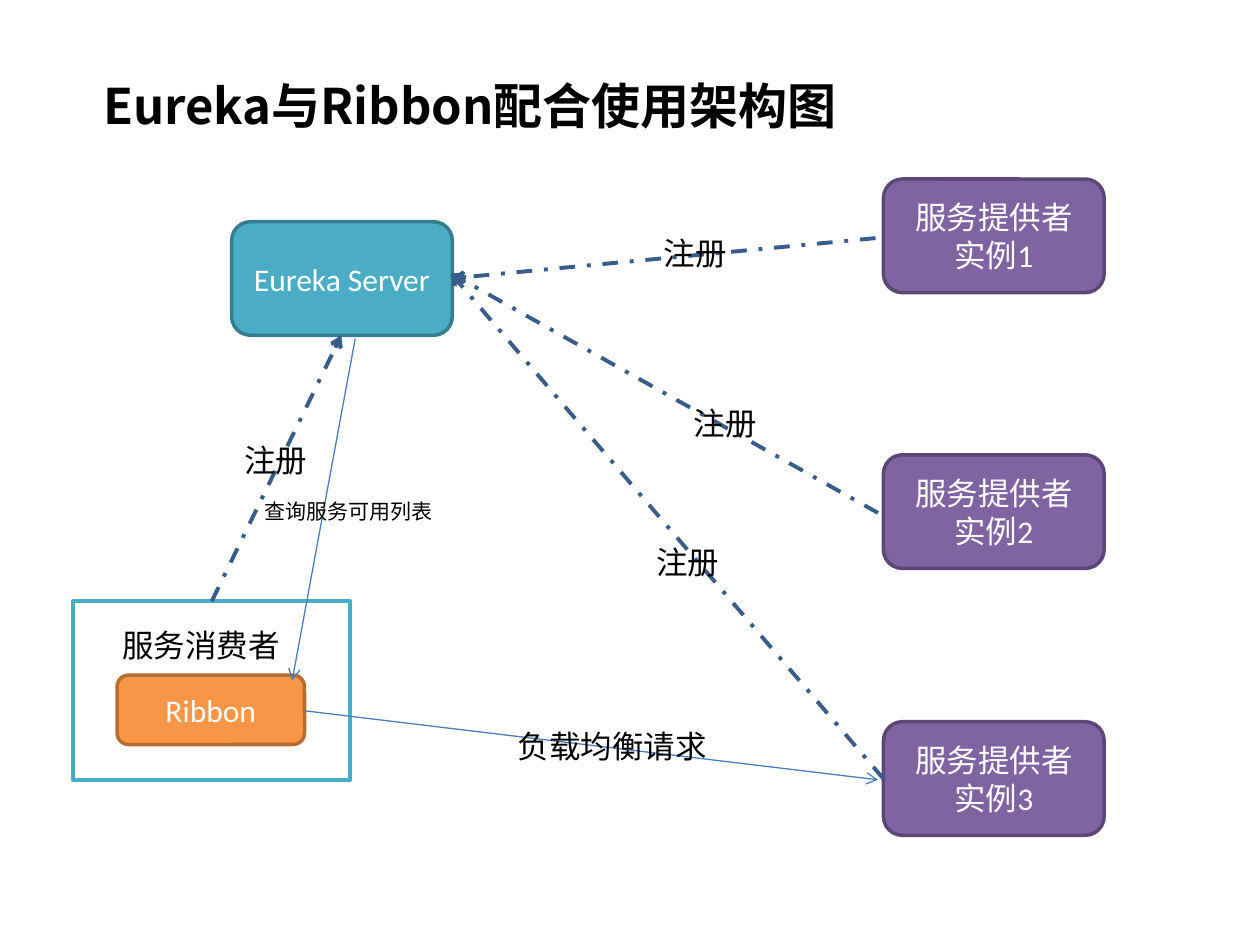
import pptx
import pptx.util
from lxml import etree
from pptx.dml.color import RGBColor
from pptx.enum.dml import MSO_LINE
from pptx.enum.shapes import MSO_CONNECTOR, MSO_SHAPE
from pptx.enum.text import MSO_ANCHOR, MSO_AUTO_SIZE, PP_ALIGN
from pptx.oxml.ns import qn
from pptx.util import Cm, Pt

BLACK = RGBColor(0x00, 0x00, 0x00)
WHITE = RGBColor(0xFF, 0xFF, 0xFF)
TEAL = RGBColor(0x4B, 0xAC, 0xC6)
TEAL_EDGE = RGBColor(0x35, 0x7D, 0x91)
PURPLE = RGBColor(0x80, 0x64, 0xA2)
PURPLE_EDGE = RGBColor(0x5C, 0x47, 0x76)
ORANGE = RGBColor(0xF7, 0x96, 0x46)
ORANGE_EDGE = RGBColor(0xB6, 0x6D, 0x31)
REGISTER_BLUE = RGBColor(0x38, 0x5D, 0x8A)
REQUEST_BLUE = RGBColor(0x4A, 0x7E, 0xBB)
CJK_FONT = "Noto Sans CJK SC"

# Content, lengths in centimetres
TITLE = "Eureka与Ribbon配合使用架构图"
NODE_SIZE = (4.45, 2.29)
PROVIDER_LEFT = 17.81
PROVIDER_TOPS = [3.61, 9.17, 14.55]

# text, (left, top, width, height), fill, edge, preset
NODES = [("Eureka Server", (4.67, 4.47, *NODE_SIZE), TEAL, TEAL_EDGE, MSO_SHAPE.ROUNDED_RECTANGLE)]
NODES += [
    (f"服务提供者实例{number}", (PROVIDER_LEFT, top, *NODE_SIZE), PURPLE, PURPLE_EDGE,
     MSO_SHAPE.ROUNDED_RECTANGLE)
    for number, top in enumerate(PROVIDER_TOPS, 1)
]
NODES += [
    ("", (1.47, 12.12, 5.59, 3.61), WHITE, TEAL, MSO_SHAPE.RECTANGLE),
    ("Ribbon", (2.36, 13.61, 3.78, 1.4), ORANGE, ORANGE_EDGE, MSO_SHAPE.ROUNDED_RECTANGLE),
]

# start, end
REGISTRATIONS = [
    ((17.65, 4.8), (9.12, 5.61)),
    ((17.81, 15.7), (9.09, 5.51)),
    ((17.7, 10.34), (9.09, 5.51)),
    ((4.27, 12.12), (6.88, 6.76)),
]
REQUESTS = [
    ((7.16, 6.83), (5.89, 13.72)),
    ((6.15, 14.33), (17.7, 15.72)),
]

# text, left, top, point size
LABELS = [
    ("服务消费者", 2.21, 12.5, 18),
    ("注册", 13.13, 4.6, 18),
    ("注册", 12.98, 10.82, 18),
    ("注册", 13.74, 8.03, 18),
    ("注册", 4.67, 8.76, 18),
    ("查询服务可用列表", 5.08, 9.93, 12),
    ("负载均衡请求", 10.19, 14.53, 18),
]


def format_text(frame, font_name, size, color, align, bold=False):
    paragraph = frame.paragraphs[0]
    paragraph.alignment = align
    for run in paragraph.runs:
        run.font.name = font_name
        run.font.size = Pt(size)
        run.font.bold = bold
        run.font.color.rgb = color
        east_asian = etree.SubElement(run.font._element, qn("a:ea"))
        east_asian.set("typeface", CJK_FONT)


def add_node(slide, text, box, fill, edge, preset):
    node = slide.shapes.add_shape(preset, *map(Cm, box))
    node.shadow.inherit = False
    node.fill.solid()
    node.fill.fore_color.rgb = fill
    node.line.color.rgb = edge
    node.line.width = Pt(2)
    if text:
        frame = node.text_frame
        frame.text = text
        frame.word_wrap = True
        frame.vertical_anchor = MSO_ANCHOR.MIDDLE
        format_text(frame, "Calibri", 18, WHITE, PP_ALIGN.CENTER)


def add_arrow(slide, start, end, color, width, dash=None):
    arrow = slide.shapes.add_connector(MSO_CONNECTOR.STRAIGHT, *map(Cm, start + end))
    arrow.line.color.rgb = color
    arrow.line.width = Pt(width)
    if dash:
        arrow.line.dash_style = dash
    etree.SubElement(arrow.line._get_or_add_ln(), qn("a:tailEnd")).set("type", "arrow")
    etree.SubElement(arrow._element.spPr, qn("a:effectLst"))


def add_label(slide, text, left, top, size):
    # One em per character plus the side insets
    width = Pt(size) * len(text) + Cm(0.51)
    height = Cm(1.02 if size == 18 else 0.76)
    frame = slide.shapes.add_textbox(Cm(left), Cm(top), width, height).text_frame
    frame.text = text
    frame.word_wrap = False
    frame.auto_size = MSO_AUTO_SIZE.SHAPE_TO_FIT_TEXT
    format_text(frame, "Arial", size, BLACK, PP_ALIGN.LEFT)


def main():
    deck = pptx.Presentation()
    deck.slide_width, deck.slide_height = Cm(25.4), Cm(19.05)
    slide = deck.slides.add_slide(deck.slide_layouts[5])

    # Title
    title = slide.shapes.title
    title.left, title.top, title.width, title.height = map(Cm, (1.83, 1.4, 16, 2.64))
    frame = title.text_frame
    frame.text = TITLE
    frame.word_wrap = True
    frame.auto_size = MSO_AUTO_SIZE.NONE
    frame.vertical_anchor = MSO_ANCHOR.TOP
    format_text(frame, CJK_FONT, 28, BLACK, PP_ALIGN.LEFT, bold=True)

    # Server, providers and consumer
    for node in NODES:
        add_node(slide, *node)

    # Registration and request arrows
    for start, end in REGISTRATIONS:
        add_arrow(slide, start, end, REGISTER_BLUE, 2.25, MSO_LINE.DASH_DOT)
    for start, end in REQUESTS:
        add_arrow(slide, start, end, REQUEST_BLUE, 0.75)

    # Labels
    for label in LABELS:
        add_label(slide, *label)

    deck.save("out.pptx")


if __name__ == "__main__":
    main()
